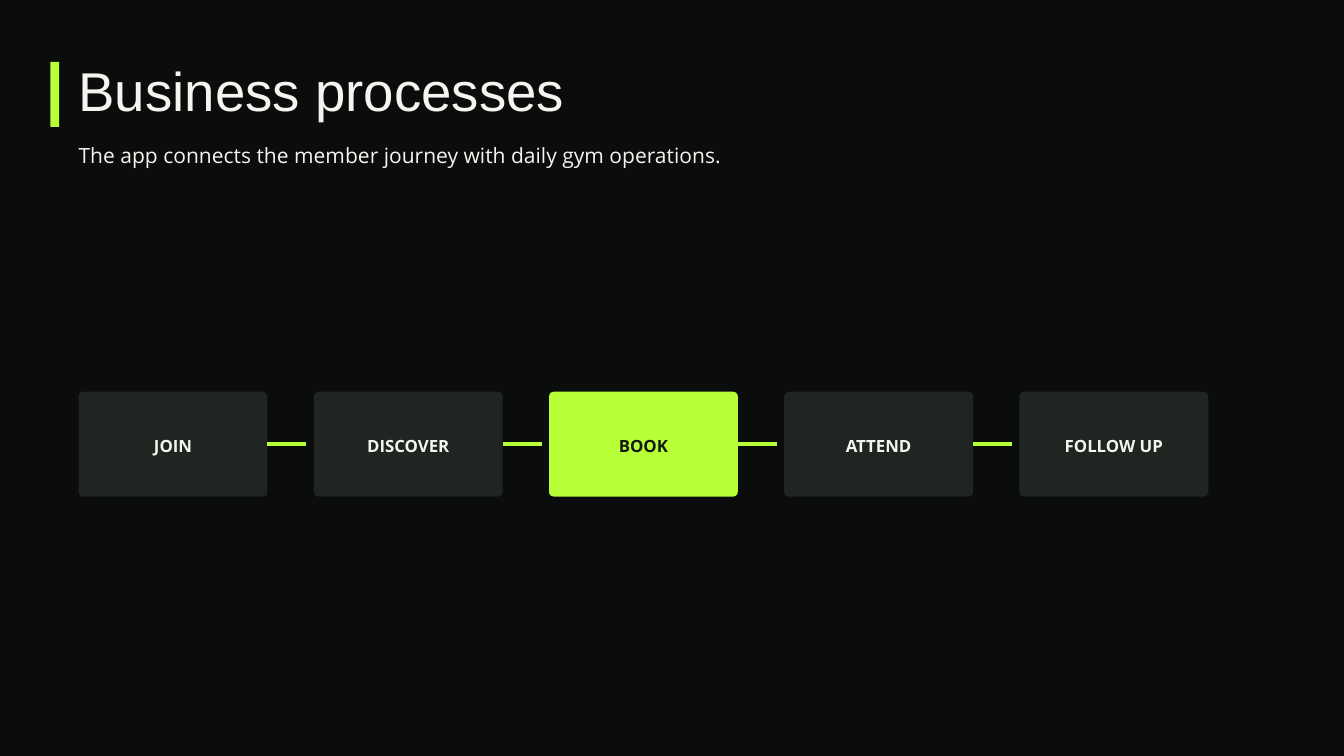
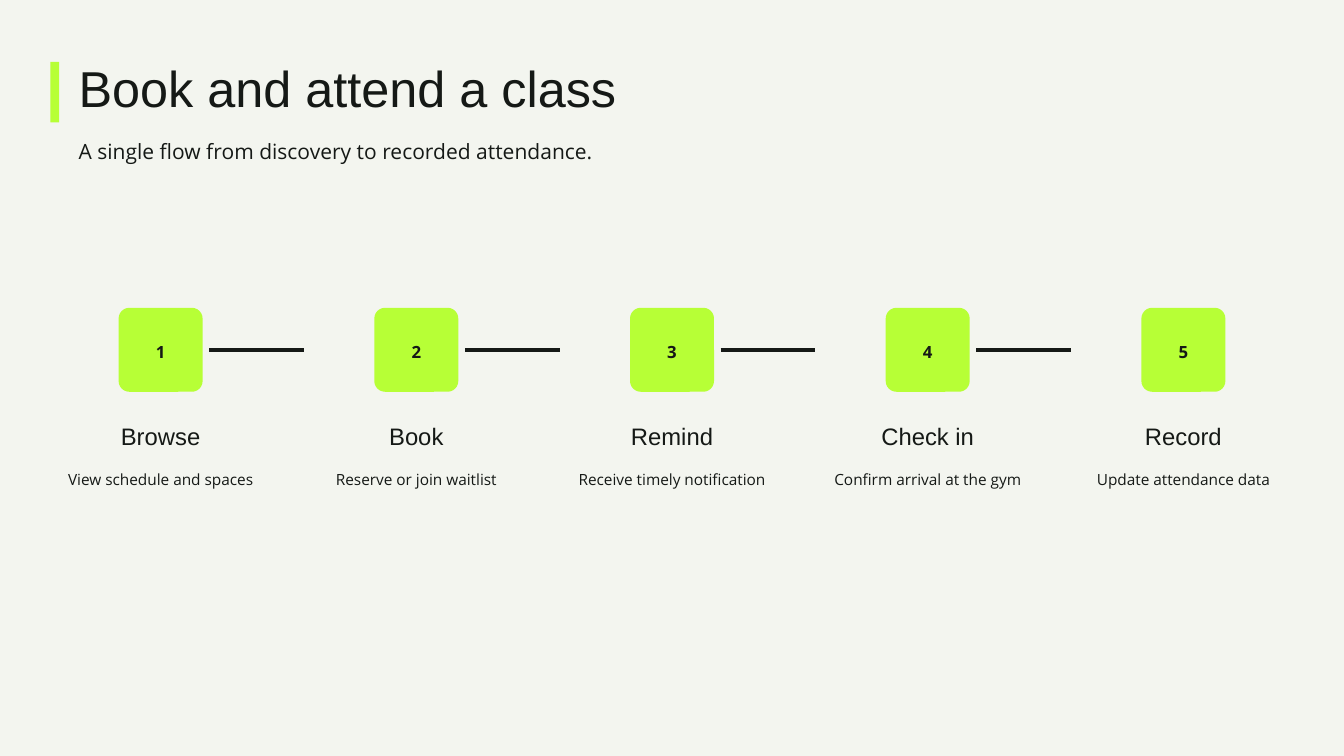
from pptx import Presentation, util as u
from pptx.dml.color import RGBColor
from pptx.enum import shapes, text
from pptx.oxml.ns import qn
from lxml import etree

# Content
PROCESS = {"title": "Business processes",
           "sub": "The app connects the member journey with daily gym operations.",
           "steps": ["JOIN", "DISCOVER", "BOOK", "ATTEND", "FOLLOW UP"],
           "focus": "BOOK"}
FLOW = {"title": "Book and attend a class",
        "sub": "A single flow from discovery to recorded attendance.",
        "steps": [("Browse", "View schedule and spaces"),
                  ("Book", "Reserve or join waitlist"),
                  ("Remind", "Receive timely notification"),
                  ("Check in", "Confirm arrival at the gym"),
                  ("Record", "Update attendance data")]}

# Shared look
HEX = {"night": "0B0D0C", "paper": "F3F5EF", "ink": "151916",
       "lime": "B7FF36", "card": "202521"}
LABEL = {"name": "Open Sans", "size": 18, "bold": True}
HEAD = {"name": "Arial", "size": 25.5, "bold": False}
NOTE = {"name": "Open Sans", "size": 16.5, "bold": False}
SUB = {"name": "Open Sans", "size": 22.5, "bold": False}
LEFT, MID = text.PP_ALIGN.LEFT, text.PP_ALIGN.CENTER
TOP, CORE = text.MSO_ANCHOR.TOP, text.MSO_ANCHOR.MIDDLE


def rgb(key):
    return RGBColor.from_string(HEX[key])


def inch(*nums):
    return [u.Inches(n) for n in nums]


def write(box, words, look, tint, lead, align=MID, anchor=TOP, pad=0):
    frame = box.text_frame
    frame.text = words
    edge = u.Inches(pad)
    form = {"word_wrap": True, "auto_size": text.MSO_AUTO_SIZE.NONE,
            "vertical_anchor": anchor, "margin_left": edge,
            "margin_right": edge, "margin_top": edge, "margin_bottom": edge}
    for key, val in form.items():
        setattr(frame, key, val)
    para = frame.paragraphs[0]
    para.alignment, para.line_spacing = align, u.Pt(lead)
    para.space_before = u.Pt(0)
    font = para.runs[0].font
    for key, val in {**look, "size": u.Pt(look["size"])}.items():
        setattr(font, key, val)
    font.color.rgb = rgb(tint)


def block(slide, kind, at, fill):
    form = slide.shapes.add_shape(kind, *inch(*at))
    form.shadow.inherit = False
    form.fill.solid()
    form.fill.fore_color.rgb = rgb(fill)
    form.line.fill.background()
    return form


def card(slide, at, words, fill, tint, curve):
    form = block(slide, shapes.MSO_SHAPE.ROUNDED_RECTANGLE, at, fill)
    form.adjustments[0] = curve / min(at[2:])
    write(form, words, LABEL, tint, 25.2, anchor=CORE, pad=0.06)


def link(slide, x, y, wide, tint):
    line = slide.shapes.add_connector(shapes.MSO_CONNECTOR.STRAIGHT,
                                      *inch(x, y, x + wide, y))
    line.line.color.rgb = rgb(tint)
    line.line.width = u.Pt(3.75)
    etree.SubElement(line._element.spPr, qn("a:effectLst"))


def label(slide, at, words, look, tint, lead):
    write(slide.shapes.add_textbox(*inch(*at)), words, look, tint, lead)


def start(deck, data, back, tint, size, lead, title, sub, bar):
    """Add a slide with its background, title, subtitle and accent bar."""
    slide = deck.slides.add_slide(deck.slide_layouts[0])
    slide.background.fill.solid()
    slide.background.fill.fore_color.rgb = rgb(back)
    look = {"name": "Arial", "size": size, "bold": False}
    parts = [(data["title"], look, lead, (1.17, title[0], 15.62, title[1])),
             (data["sub"], SUB, 30.4, (1.17, sub, 13.33, 0.4))]
    for box, (words, style, gap, at) in zip(slide.placeholders, parts):
        box.left, box.top, box.width, box.height = inch(*at)
        write(box, words, style, tint, gap, align=LEFT)
    block(slide, shapes.MSO_SHAPE.RECTANGLE, (0.75, 0.92, 0.13, bar), "lime")
    return slide


def process(deck):
    slide = start(deck, PROCESS, "night", "paper", 58.5, 59.7,
                  (1, 0.86), 2.08, 0.97)
    # Row of cards, each joined to the next
    x, y, wide, high, step = 1.17, 5.83, 2.81, 1.56, 3.5
    steps = PROCESS["steps"]
    for i, name in enumerate(steps):
        left = x + i * step
        fill, tint = (("lime", "ink") if name == PROCESS["focus"]
                      else ("card", "paper"))
        card(slide, (left, y, wide, high), name, fill, tint, 0.07)
        if i < len(steps) - 1:
            link(slide, left + wide, y + high / 2, 0.58, "lime")


def flow(deck):
    slide = start(deck, FLOW, "paper", "ink", 54, 55.1,
                  (0.99, 0.8), 2.01, 0.9)
    # Equal columns, each centred on its numbered tile
    y, side, wide, edge = 4.58, 1.25, 3.12, 0.83
    steps = FLOW["steps"]
    step = (deck.slide_width.inches - 2 * edge - wide) / (len(steps) - 1)
    for i, (name, note) in enumerate(steps):
        left = edge + i * step
        tile = left + (wide - side) / 2
        card(slide, (tile, y, side, side), str(i + 1), "lime", "ink", 0.16)
        label(slide, (left, 6.2, wide, 0.47), name, HEAD, "ink", 35.7)
        label(slide, (left, 6.96, wide, 0.29), note, NOTE, "ink", 22.3)
        if i < len(steps) - 1:
            link(slide, tile + side + 0.1, y + side / 2, 1.41, "ink")


def main():
    deck = Presentation()
    deck.slide_width, deck.slide_height = inch(20, 11.25)
    process(deck)
    flow(deck)
    deck.save("out.pptx")


if __name__ == "__main__":
    main()
